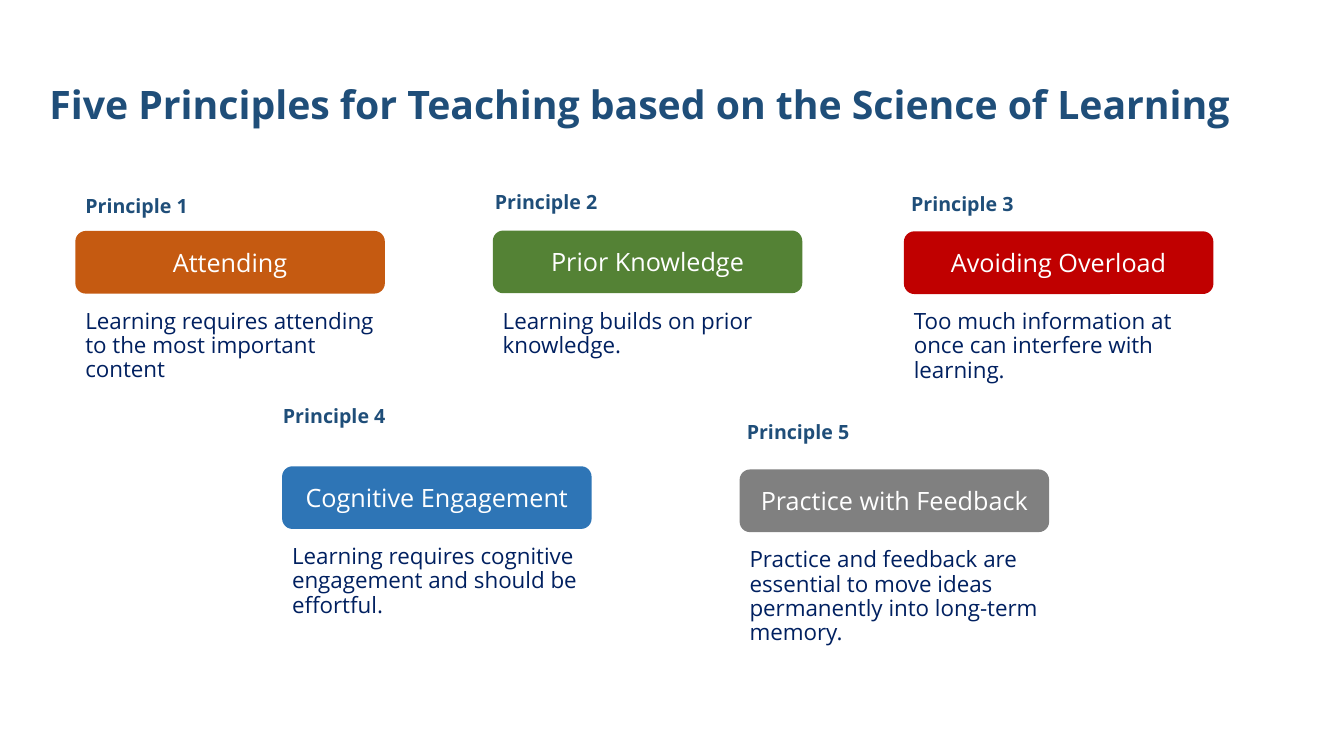
from dataclasses import dataclass

from pptx import Presentation
from pptx.dml.color import RGBColor
from pptx.enum.shapes import MSO_SHAPE as Shape
from pptx.enum.text import MSO_ANCHOR as Anchor, PP_ALIGN as Align
from pptx.util import Cm, Pt


@dataclass(frozen=True)
class Theme:
    font: str = "Open Sans"
    heading: str = "1F4E79"
    body: str = "002060"
    on_fill: str = "FFFFFF"
    title_size: int = 28
    pill_size: int = 18
    body_size: int = 16
    label_size: int = 14
    line_spacing: float = 0.9


class PrinciplesPage:
    PILL = (7.8, 1.58)
    LABEL = (5.33, 1.8)
    NOTE = (8.33, 2.3)
    NOTE_DROP = 1.87  # from the top of a pill to its explanation

    def __init__(self, deck, theme):
        self.theme = theme
        self.page = deck.slides.add_slide(deck.slide_layouts[5])

    def set_text(self, shape, text, size, color, bold=False,
                 align=Align.LEFT, anchor=Anchor.TOP, spacing=None):
        frame = shape.text_frame
        frame.word_wrap = True
        frame.vertical_anchor = anchor
        para = frame.paragraphs[0]
        para.alignment = align
        para.line_spacing = spacing or self.theme.line_spacing
        span = para.add_run()
        span.text = text
        style = {"name": self.theme.font, "size": Pt(size), "bold": bold}
        for name, value in style.items():
            setattr(span.font, name, value)
        span.font.color.rgb = RGBColor.from_string(color)

    def title(self, text):
        box = self.page.shapes.title
        place = {"left": 0.99, "top": 1.9, "width": 33.17, "height": 3.18}
        for name, value in place.items():
            setattr(box, name, Cm(value))
        self.set_text(box, text, self.theme.title_size, self.theme.heading,
                      bold=True, spacing=1.0)

    def text(self, left, top, size, *words, **style):
        box = self.page.shapes.add_textbox(*map(Cm, (left, top, *size)))
        self.set_text(box, *words, **style)

    def pill(self, left, top, text, fill):
        shape = self.page.shapes.add_shape(
            Shape.ROUNDED_RECTANGLE, *map(Cm, (left, top, *self.PILL)))
        shape.shadow.inherit = False
        shape.fill.solid()
        shape.fill.fore_color.rgb = RGBColor.from_string(fill)
        shape.line.fill.background()
        self.set_text(shape, text, self.theme.pill_size, self.theme.on_fill,
                      align=Align.CENTER, anchor=Anchor.MIDDLE, spacing=1.0)

    def principle(self, number, label_at, pill_at, name, fill, note):
        left, top = pill_at
        self.pill(left, top, name, fill)
        self.text(*label_at, self.LABEL, f"Principle {number}",
                  self.theme.label_size, self.theme.heading, bold=True)
        self.text(left, top + self.NOTE_DROP, self.NOTE, note,
                  self.theme.body_size, self.theme.body)


# Label position, pill position, name, fill, explanation
PRINCIPLES = [
    ((1.9, 4.83), (1.9, 5.82), "Attending", "C55A11",
     "Learning requires attending to the most important content"),
    ((12.22, 4.74), (12.42, 5.81), "Prior Knowledge", "548235",
     "Learning builds on prior knowledge."),
    ((22.71, 4.78), (22.78, 5.83), "Avoiding Overload", "C00000",
     "Too much information at once can interfere with learning."),
    ((6.88, 10.11), (7.11, 11.75), "Cognitive Engagement", "2E75B6",
     "Learning requires cognitive engagement and should be effortful."),
    ((18.57, 10.52), (18.64, 11.83), "Practice with Feedback", "808080",
     "Practice and feedback are essential to move ideas permanently "
     "into long-term memory."),
]


def main():
    deck = Presentation()
    deck.slide_width, deck.slide_height = Cm(33.87), Cm(19.05)
    page = PrinciplesPage(deck, Theme())
    page.title("Five Principles for Teaching based on the Science of Learning")
    for number, principle in enumerate(PRINCIPLES, start=1):
        page.principle(number, *principle)
    deck.save("out.pptx")


if __name__ == "__main__":
    main()
